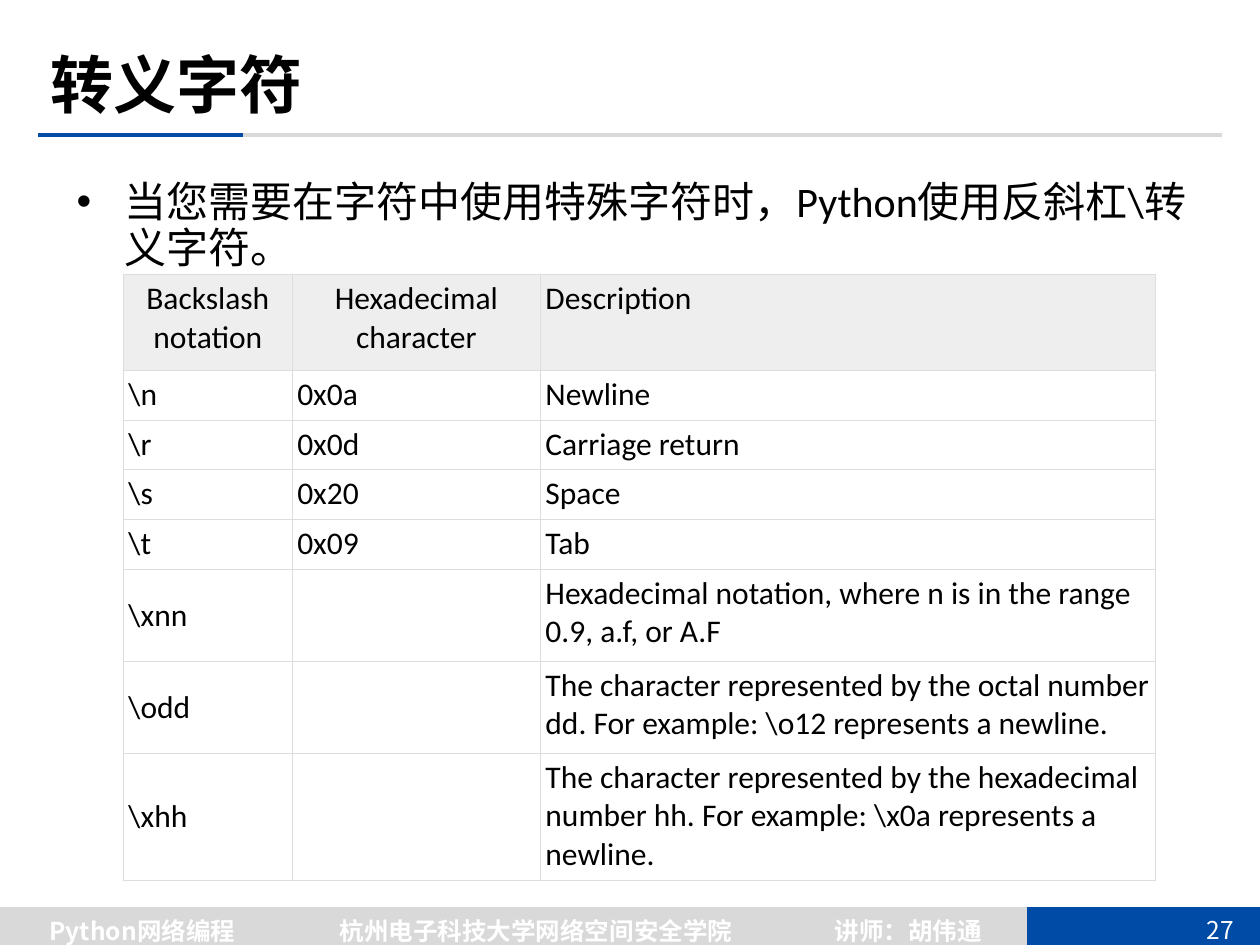
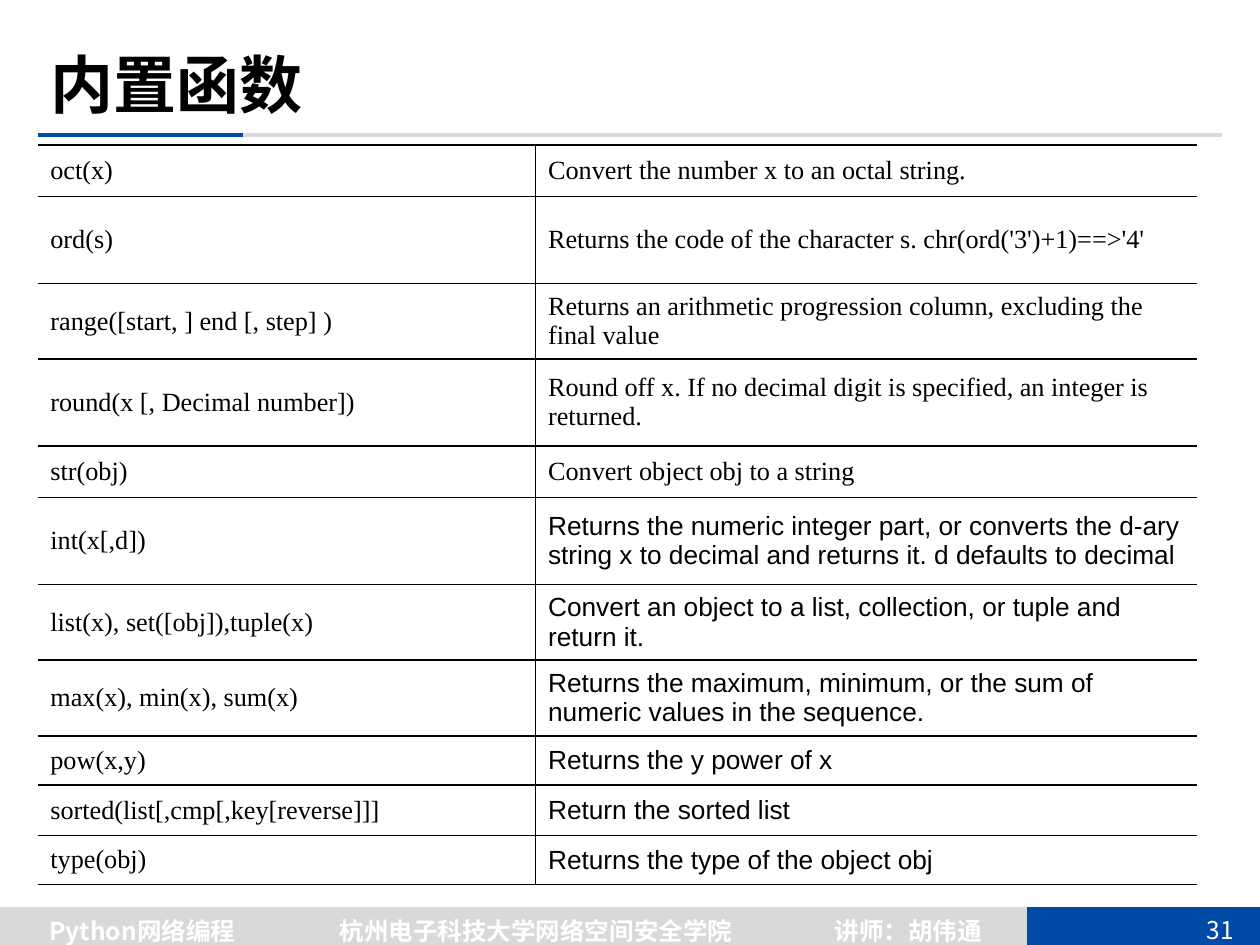
from dataclasses import dataclass, field
from typing import Any

from lxml import etree
from pptx import Presentation
from pptx import util as u
from pptx.dml.color import RGBColor
from pptx.enum import shapes, text
from pptx.oxml import ns

CELL = u.Inches(0.1)
COLUMNS, ROWS = 100, 75


@dataclass(frozen=True)
class Theme:
    ink: str = "000000"
    paper: str = "FFFFFF"
    accent: str = "004BA6"
    band: str = "D9D9D9"
    header: str = "EEEEEE"
    grid: str = "DDDDDD"
    heading_font: str = "Noto Sans CJK SC"
    body_font: str = "Calibri"
    code_font: str = "Times New Roman"
    note_font: str = "Arial"
    title_size: float = 36
    body_size: float = 24
    escape_size: float = 18
    function_size: float = 15
    footer_size: float = 14
    band_width: float = 25
    rule_width: float = 2.25


THEME = Theme()


@dataclass(frozen=True)
class Style:
    font: str
    size: float
    color: str = THEME.ink
    bold: bool = False


@dataclass(frozen=True)
class Area:
    column: float
    row: float
    columns: float
    rows: float

    def lengths(self) -> list[int]:
        return [cells(n) for n in (self.column, self.row, self.columns, self.rows)]


@dataclass(frozen=True)
class Rule:
    start: float
    end: float
    row: float
    color: str
    width: float


@dataclass(frozen=True)
class Label:
    words: str
    area: Area
    style: Style
    align: text.PP_ALIGN = text.PP_ALIGN.CENTER
    anchor: text.MSO_ANCHOR = text.MSO_ANCHOR.MIDDLE


@dataclass(frozen=True)
class Entry:
    words: str
    style: Style
    borders: str
    align: text.PP_ALIGN = text.PP_ALIGN.LEFT
    anchor: text.MSO_ANCHOR = text.MSO_ANCHOR.MIDDLE
    fill: str = ""


@dataclass(frozen=True)
class Grid:
    column: float
    row: float
    widths: list[float]
    heights: list[float]
    border: str
    border_width: float
    inset: tuple[float, float]
    entries: list[list[Entry]] = field(default_factory=list)


TITLE = Style(THEME.heading_font, THEME.title_size, bold=True)
BODY = Style(THEME.body_font, THEME.body_size)
ESCAPE = Style(THEME.body_font, THEME.escape_size)
CODE = Style(THEME.code_font, THEME.function_size)
NOTE = Style(THEME.note_font, THEME.function_size)
FOOTER = Style(THEME.heading_font, THEME.footer_size, THEME.paper, True)
PAGE = Style(THEME.heading_font, THEME.footer_size, THEME.paper)

FRAME_RULES = [
    Rule(0, 99.6, 73.7, THEME.band, THEME.band_width),
    Rule(81.5, COLUMNS, 73.7, THEME.accent, THEME.band_width),
    Rule(3, 97, 10.7, THEME.band, THEME.rule_width),
    Rule(3, 19.3, 10.7, THEME.accent, THEME.rule_width),
]
FOOTERS = [
    Label("Python网络编程", Area(-0.4, 72.2, 23.4, 3.4), FOOTER),
    Label("杭州电子科技大学网络空间安全学院", Area(20.1, 72.2, 44.9, 3.4), FOOTER),
    Label("讲师：胡伟通", Area(65, 72.2, 14.2, 3.4), FOOTER),
]

ESCAPES = [
    ("Backslash notation", "Hexadecimal character", "Description"),
    (r"\n", "0x0a", "Newline"),
    (r"\r", "0x0d", "Carriage return"),
    (r"\s", "0x20", "Space"),
    (r"\t", "0x09", "Tab"),
    (r"\xnn", "", "Hexadecimal notation, where n is in the range 0.9, a.f, or A.F"),
    (r"\odd", "", "The character represented by the octal number dd. "
     r"For example: \o12 represents a newline."),
    (r"\xhh", "", "The character represented by the hexadecimal number hh. "
     r"For example: \x0a represents a newline."),
]
FUNCTIONS = [
    ("oct(x)", "Convert the number x to an octal string.", CODE, 4.1),
    ("ord(s)", "Returns the code of the character s. chr(ord('3')+1)==>'4'", CODE, 6.9),
    ("range([start, ] end [, step] )",
     "Returns an arithmetic progression column, excluding the final value", CODE, 5.6),
    ("round(x [, Decimal number])",
     "Round off x. If no decimal digit is specified, an integer is returned.", CODE, 6.9),
    ("str(obj)", "Convert object obj to a string", CODE, 4.1),
    ("int(x[,d])", "Returns the numeric integer part, or converts the d-ary string x "
     "to decimal and returns it. d defaults to decimal", NOTE, 6.9),
    ("list(x), set([obj]),tuple(x)",
     "Convert an object to a list, collection, or tuple and return it.", NOTE, 5.6),
    ("max(x), min(x), sum(x)",
     "Returns the maximum, minimum, or the sum of numeric values in the sequence.", NOTE, 5.6),
    ("pow(x,y)", "Returns the y power of x", NOTE, 3.9),
    ("sorted(list[,cmp[,key[reverse]]]", "Return the sorted list", NOTE, 4),
    ("type(obj)", "Returns the type of the object obj", NOTE, 3.9),
]


def cells(count: float) -> int:
    return round(count * CELL)


def apply(target: Any, values: dict[str, Any]) -> None:
    for name, value in values.items():
        setattr(target, name, value)


def write(paragraph: Any, words: str, style: Style, align: text.PP_ALIGN) -> None:
    paragraph.alignment = align
    if not words:
        return
    run = paragraph.add_run()
    run.text = words
    apply(run.font, {"size": u.Pt(style.size), "bold": style.bold, "name": style.font})
    run.font.color.rgb = RGBColor.from_string(style.color)
    etree.SubElement(run._r.get_or_add_rPr(), ns.qn("a:ea"), typeface=style.font)


def draw_rule(slide: Any, rule: Rule) -> None:
    line = slide.shapes.add_connector(
        shapes.MSO_CONNECTOR.STRAIGHT,
        cells(rule.start), cells(rule.row), cells(rule.end), cells(rule.row))
    line.line.color.rgb = RGBColor.from_string(rule.color)
    line.line.width = u.Pt(rule.width)
    etree.SubElement(line._element.spPr, ns.qn("a:effectLst"))


def draw_label(slide: Any, label: Label) -> Any:
    frame = slide.shapes.add_textbox(*label.area.lengths()).text_frame
    apply(frame, {"word_wrap": True, "vertical_anchor": label.anchor})
    write(frame.paragraphs[0], label.words, label.style, label.align)
    return frame.paragraphs[0]


def draw_bullet(slide: Any, words: str, area: Area) -> None:
    point = draw_label(slide, Label(words, area, BODY, text.PP_ALIGN.LEFT, text.MSO_ANCHOR.TOP))
    properties = point._p.get_or_add_pPr()
    indent = u.Inches(0.38)
    properties.set("marL", str(indent))
    properties.set("indent", str(-indent))
    etree.SubElement(properties, ns.qn("a:buFont"), typeface=THEME.note_font)
    etree.SubElement(properties, ns.qn("a:buChar"), char="•")
    point.line_spacing = 0.9


def add_borders(cell: Any, sides: str, color: str, width: float) -> None:
    properties = cell._tc.get_or_add_tcPr()
    for position, side in enumerate("LRTB"):
        edge = etree.Element(ns.qn(f"a:ln{side}"), w=str(u.Pt(width)))
        if side in sides:
            fill = etree.SubElement(edge, ns.qn("a:solidFill"))
            etree.SubElement(fill, ns.qn("a:srgbClr"), val=color)
        else:
            etree.SubElement(edge, ns.qn("a:noFill"))
        properties.insert(position, edge)


def draw_grid(slide: Any, grid: Grid) -> None:
    area = Area(grid.column, grid.row, sum(grid.widths), sum(grid.heights))
    table = slide.shapes.add_table(
        len(grid.heights), len(grid.widths), *area.lengths()).table
    apply(table, {"first_row": False, "horz_banding": False})
    for column, width in zip(table.columns, grid.widths):
        column.width = cells(width)
    for row, height, entries in zip(table.rows, grid.heights, grid.entries):
        row.height = cells(height)
        for cell, entry in zip(row.cells, entries):
            side, end = (cells(inset) for inset in grid.inset)
            apply(cell, {"margin_left": side, "margin_right": side, "margin_top": end,
                         "margin_bottom": end, "vertical_anchor": entry.anchor})
            if entry.fill:
                cell.fill.solid()
                cell.fill.fore_color.rgb = RGBColor.from_string(entry.fill)
            else:
                cell.fill.background()
            add_borders(cell, entry.borders, grid.border, grid.border_width)
            write(cell.text_frame.paragraphs[0], entry.words, entry.style, entry.align)


def escape_entry(words: str, row: int, column: int) -> Entry:
    heading = row == 0
    centred = heading and column < 2
    return Entry(
        words, ESCAPE, "LRTB",
        text.PP_ALIGN.CENTER if centred else text.PP_ALIGN.LEFT,
        text.MSO_ANCHOR.MIDDLE if row > 4 and column == 0 else text.MSO_ANCHOR.TOP,
        THEME.header if heading else "")


def add_slide(deck: Any, title: str, page: int) -> Any:
    slide = deck.slides.add_slide(deck.slide_layouts[6])
    for rule in FRAME_RULES:
        draw_rule(slide, rule)
    number = Label(str(page), Area(94.1, 72.1, 5.5, 3.4), PAGE)
    heading = Label(title, Area(3, 2.8, 92, 7.7), TITLE, text.PP_ALIGN.LEFT)
    for label in [*FOOTERS, number, heading]:
        draw_label(slide, label)
    return slide


def add_escape_slide(deck: Any) -> None:
    slide = add_slide(deck, "转义字符", 27)
    draw_bullet(slide, "当您需要在字符中使用特殊字符时，Python使用反斜杠\\转义字符。",
                Area(5.1, 13.9, 91.4, 20.5))
    entries = [[escape_entry(words, row, column) for column, words in enumerate(line)]
               for row, line in enumerate(ESCAPES)]
    draw_grid(slide, Grid(9.8, 21.8, [13.4, 19.7, 48.8], [7.6, *[3.95] * 4, 7.3, 7.3, 10.1],
                          THEME.grid, 0.75, (0.4, 0.4), entries))


def add_function_slide(deck: Any) -> None:
    slide = add_slide(deck, "内置函数", 31)
    entries = [[Entry(call, CODE, "RTB"), Entry(meaning, style, "LTB")]
               for call, meaning, style, _ in FUNCTIONS]
    draw_grid(slide, Grid(3, 11.5, [39.5, 52.5], [height for *_, height in FUNCTIONS],
                          THEME.ink, 1, (1, 0.5), entries))


def main() -> None:
    deck = Presentation()
    apply(deck, {"slide_width": COLUMNS * CELL, "slide_height": ROWS * CELL})
    add_escape_slide(deck)
    add_function_slide(deck)
    deck.save("out.pptx")


if __name__ == "__main__":
    main()
